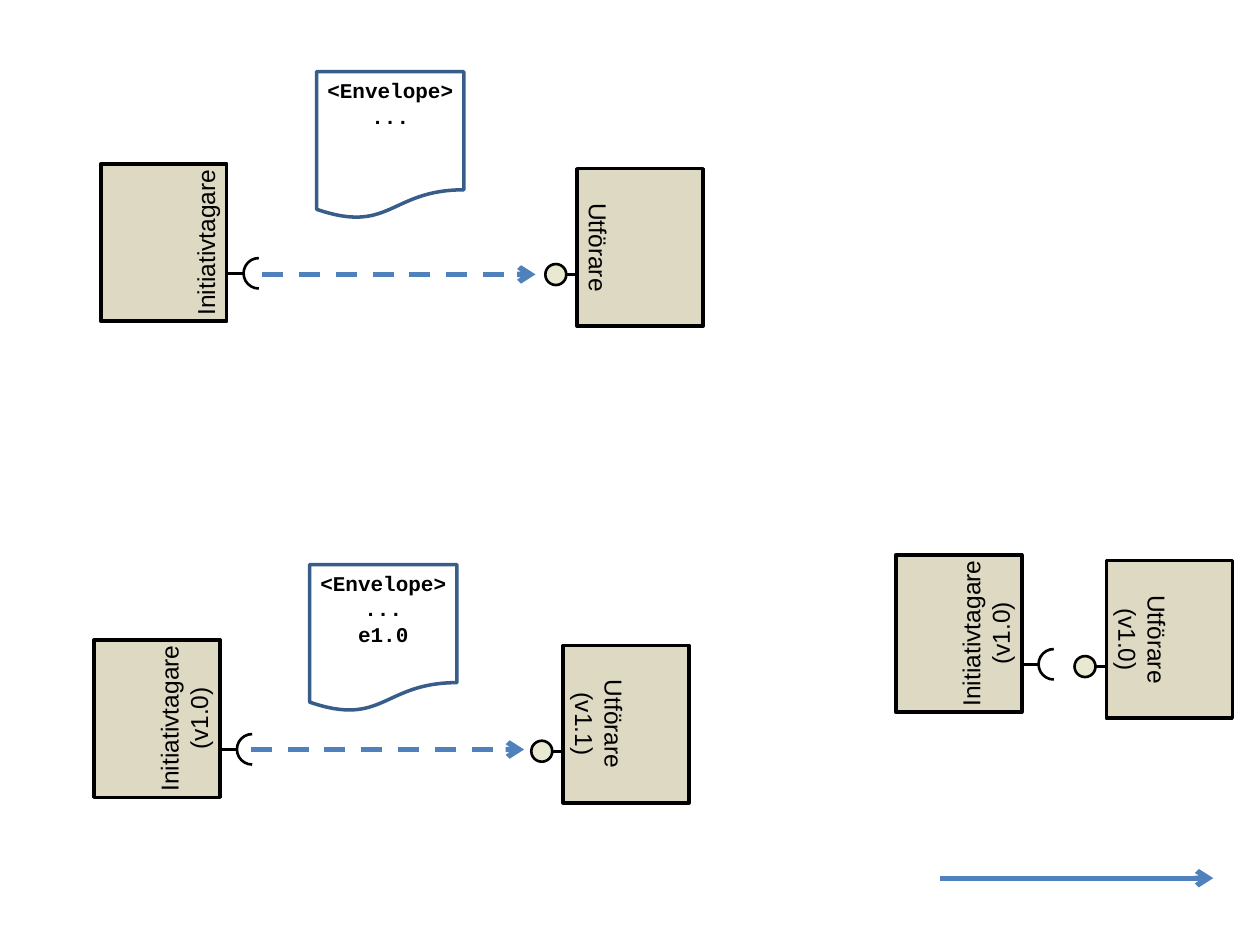
from dataclasses import dataclass

from pptx import Presentation
from pptx.dml.color import RGBColor
from pptx.enum.dml import MSO_LINE
from pptx.enum.shapes import MSO_CONNECTOR, MSO_SHAPE
from pptx.enum.text import MSO_AUTO_SIZE, PP_ALIGN
from pptx.oxml.ns import qn
from pptx.util import Pt
from lxml.etree import SubElement


@dataclass(frozen=True)
class Theme:
    """Colours, fonts, type sizes and line widths."""
    ink: RGBColor = RGBColor.from_string("000000")
    box: RGBColor = RGBColor.from_string("DDD9C3")
    ball: RGBColor = RGBColor.from_string("E9E8D0")
    paper: RGBColor = RGBColor.from_string("FFFFFF")
    paper_edge: RGBColor = RGBColor.from_string("385D8A")
    flow: RGBColor = RGBColor.from_string("4F81BD")
    label_font: str = "Arial"
    label_size: float = 14
    code_font: str = "Courier New"
    code_size: float = 12
    thin: float = 1.5
    edge: float = 2
    thick: float = 3


THEME = Theme()
BOX_W, BOX_H = 72, 90
DOC_SIZE = 84.2


def add_shape(s, kind, x, y, w, h, fill, line, width):
    """Add a preset shape; a fill of None leaves it hollow."""
    sp = s.shapes.add_shape(kind, Pt(x), Pt(y), Pt(w), Pt(h))
    sp.shadow.inherit = False
    if fill is None:
        sp.fill.background()
    else:
        sp.fill.solid()
        sp.fill.fore_color.rgb = fill
    sp.line.color.rgb = line
    sp.line.width = Pt(width)
    return sp


def add_line(s, x1, x2, y, color, width):
    """Add a horizontal straight connector without shadow."""
    cxn = s.shapes.add_connector(MSO_CONNECTOR.STRAIGHT, Pt(x1), Pt(y), Pt(x2), Pt(y))
    cxn.line.color.rgb = color
    cxn.line.width = Pt(width)
    SubElement(cxn._element.spPr, qn("a:effectLst"))
    return cxn


def add_flow(s, x, y, dashed=True):
    """Add a blue message arrow pointing right."""
    cxn = add_line(s, x, x + 156.2, y, THEME.flow, THEME.thick)
    if dashed:
        cxn.line.dash_style = MSO_LINE.DASH
    SubElement(cxn.line._get_or_add_ln(), qn("a:tailEnd"), type="arrow")


def add_text(s, text, x, y, w, h, font, size, bold=False, wrap=False, rotation=0):
    """Add a centred text box."""
    sp = s.shapes.add_textbox(Pt(x), Pt(y), Pt(w), Pt(h))
    sp.rotation = rotation
    tf = sp.text_frame
    tf.text = text
    tf.word_wrap = wrap
    tf.auto_size = MSO_AUTO_SIZE.SHAPE_TO_FIT_TEXT
    for p in tf.paragraphs:
        p.alignment = PP_ALIGN.CENTER
        for r in p.runs:
            r.font.name = font
            r.font.size = Pt(size)
            r.font.bold = bold
            r.font.color.rgb = THEME.ink


def add_box(s, x, y):
    """Add the body of a component."""
    add_shape(s, MSO_SHAPE.RECTANGLE, x, y, BOX_W, BOX_H, THEME.box, THEME.ink, THEME.edge)


def add_side_label(s, text, side_x, y, w, rotation):
    """Add a rotated label whose last line runs along the facing side."""
    h = 24.2 if "\n" not in text else 41.2
    inward = 1 if rotation == 90 else -1
    cx, cy = side_x + inward * h / 2, y + BOX_H / 2
    add_text(s, text, cx - w / 2, cy - h / 2, w, h,
             THEME.label_font, THEME.label_size, rotation=rotation)


def add_initiator(s, x, y, text):
    """Add a component with a socket on its right side."""
    port_y, radius = y + 62.6, 8.7
    add_line(s, x + 60, x + 81.6, port_y, THEME.ink, THEME.thin)
    arc = add_shape(s, MSO_SHAPE.ARC, x + 81.6, port_y - radius, 2 * radius, 2 * radius,
                    None, THEME.ink, THEME.thin)
    arc.adjustments[0], arc.adjustments[1] = 54, 162
    add_box(s, x, y)
    add_side_label(s, text, x + BOX_W, y, 98, 270)


def add_performer(s, x, y, text):
    """Add a component with a ball on its left side."""
    port_y, ball = y + 60.5, 12
    add_line(s, x + 19.4, x - 6.4, port_y, THEME.ink, THEME.thin)
    add_shape(s, MSO_SHAPE.OVAL, x - 18.2, port_y - ball / 2, ball, ball,
              THEME.ball, THEME.ink, THEME.thin)
    add_box(s, x, y)
    add_side_label(s, text, x, y, 65, 90)


def add_envelope(s, x, y, text):
    """Add a document with its message text."""
    add_shape(s, MSO_SHAPE.FLOWCHART_DOCUMENT, x, y, DOC_SIZE, DOC_SIZE,
              THEME.paper, THEME.paper_edge, THEME.edge)
    w, h = 126, 22 + 14.4 * (text.count("\n") + 2)
    add_text(s, text, x + (DOC_SIZE - w) / 2, y, w, h,
             THEME.code_font, THEME.code_size, bold=True, wrap=True)


def main():
    """Build the slide and save it."""
    prs = Presentation()
    prs.slide_width, prs.slide_height = Pt(720), Pt(540)
    s = prs.slides.add_slide(prs.slide_layouts[6])

    add_flow(s, 149.8, 156.8)
    add_performer(s, 329.8, 96.4, "Utförare")
    add_initiator(s, 57.6, 93.6, "Initiativtagare")
    add_envelope(s, 180.9, 41, "<Envelope>\n...")

    add_initiator(s, 511.9, 317, "Initiativtagare\n(v1.0)")
    add_performer(s, 632.2, 320.4, "Utförare\n(v1.0)")
    add_flow(s, 537.1, 501.8, dashed=False)

    add_initiator(s, 53.8, 365.6, "Initiativtagare\n(v1.0)")
    add_performer(s, 321.8, 368.8, "Utförare\n(v1.1)")
    add_flow(s, 143.3, 428.3)
    add_envelope(s, 176.9, 322.6, "<Envelope>\n...\ne1.0")

    prs.save("out.pptx")


if __name__ == "__main__":
    main()
